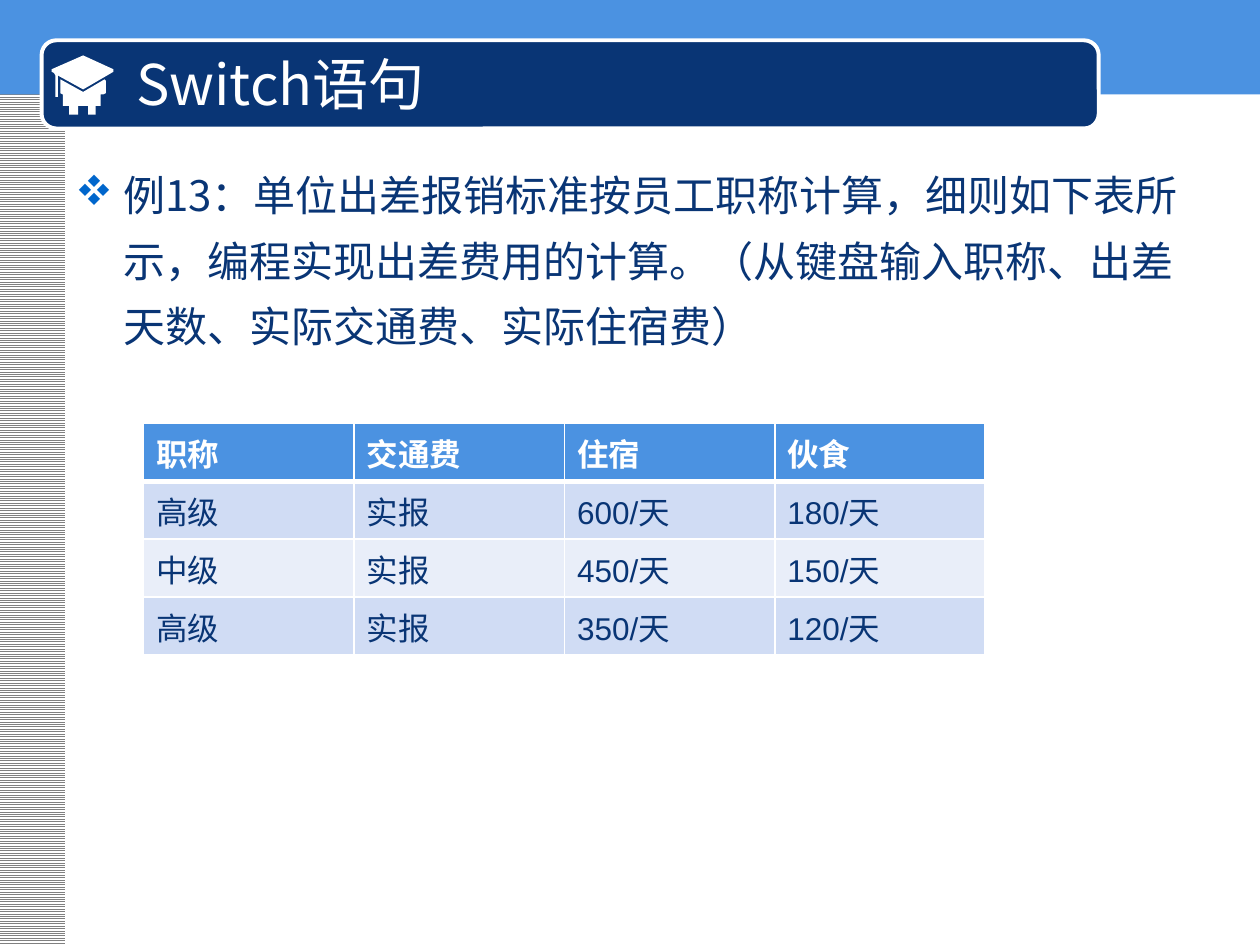
from lxml.etree import SubElement
from pptx import Presentation
from pptx.dml.color import RGBColor
from pptx.enum.dml import MSO_PATTERN
from pptx.enum.shapes import MSO_SHAPE
from pptx.enum.text import MSO_ANCHOR, PP_ALIGN
from pptx.oxml.ns import qn
from pptx.util import Inches, Pt

# Content
TITLE = "Switch语句"
TASK = ("例13：单位出差报销标准按员工职称计算，细则如下表所示，编程实现出差费用的计算。"
        "（从键盘输入职称、出差天数、实际交通费、实际住宿费）")
RATES = [
    ("职称", "交通费", "住宿", "伙食"),
    ("高级", "实报", "600/天", "180/天"),
    ("中级", "实报", "450/天", "150/天"),
    ("高级", "实报", "350/天", "120/天"),
]

# Graduate icon outlines, in hundredths of an inch
CAP = [(41, 57), (43, 58), (44, 60), (44, 77), (46, 77), (46, 60),
       (66, 71), (90, 57), (90, 55), (66, 44), (41, 55)]
BODY = [(80, 75), (82, 75), (84, 74), (84, 64), (83, 63), (66, 73), (48, 63),
        (48, 74), (50, 75), (50, 84), (55, 84), (55, 91), (62, 91), (62, 84),
        (70, 84), (70, 91), (76, 91), (76, 84), (80, 84)]

WHITE = RGBColor(0xFF, 0xFF, 0xFF)
GRAY = RGBColor(0x80, 0x80, 0x80)
BLUE = RGBColor(0x4B, 0x92, 0xE1)
NAVY = RGBColor(0x09, 0x35, 0x75)
BULLET_BLUE = RGBColor(0x00, 0x66, 0xCC)
BAND_DARK = RGBColor(0xD0, 0xDC, 0xF4)
BAND_LIGHT = RGBColor(0xE9, 0xEE, 0xF9)
TEXT_FONT, TABLE_FONT = "Noto Sans CJK SC", "Arial"

COLUMN_WIDTH, ROW_HEIGHT = 1.67, 0.46


def inches(*lengths):
    return [Inches(length) for length in lengths]


def style_text(paragraph, size, color, font, bold=False):
    for run in paragraph.runs:
        run.font.size, run.font.bold, run.font.name = Pt(size), bold, font
        run.font.color.rgb = color
        if font == TEXT_FONT:
            SubElement(run.font._element, qn("a:ea"), typeface=font)


def add_block(kind, *box):
    shape = slide.shapes.add_shape(kind, *inches(*box))
    shape.shadow.inherit = False
    shape.line.fill.background()
    return shape


def add_outline(points):
    builder = slide.shapes.build_freeform(*points[0], scale=Inches(0.01))
    builder.add_line_segments(points[1:], close=True)
    shape = builder.convert_to_shape()
    shape.shadow.inherit = False
    shape.line.fill.background()
    shape.fill.solid()
    shape.fill.fore_color.rgb = WHITE


def set_borders(cell, bottom_width):
    properties = cell._tc.get_or_add_tcPr()
    widths = {"a:lnL": 1, "a:lnR": 1, "a:lnT": 1, "a:lnB": bottom_width}
    for position, (tag, width) in enumerate(widths.items()):
        line = properties.makeelement(qn(tag), {"w": str(Pt(width))})
        fill = SubElement(line, qn("a:solidFill"))
        SubElement(fill, qn("a:srgbClr"), val=str(WHITE))
        properties.insert(position, line)


presentation = Presentation()
presentation.slide_width, presentation.slide_height = inches(10, 7.5)
slide = presentation.slides.add_slide(presentation.slide_layouts[5])

# Striped side, top band and title banner
stripes = add_block(MSO_SHAPE.RECTANGLE, -0.01, 0, 0.53, 7.5)
stripes.fill.patterned()
stripes.fill.pattern = MSO_PATTERN.LIGHT_HORIZONTAL
stripes.fill.fore_color.rgb, stripes.fill.back_color.rgb = GRAY, WHITE

band = add_block(MSO_SHAPE.RECTANGLE, 0, 0, 10, 0.75)
band.fill.solid()
band.fill.fore_color.rgb = BLUE

banner = add_block(MSO_SHAPE.ROUNDED_RECTANGLE, 0.33, 0.32, 8.39, 0.7)
banner.fill.solid()
banner.fill.fore_color.rgb = NAVY
banner.line.color.rgb, banner.line.width = WHITE, Pt(2.25)

for outline in (CAP, BODY):
    add_outline(outline)

# Title, brought in front of the banner
title = slide.shapes.title
title.left, title.top, title.width, title.height = inches(0.98, 0.35, 7.6, 0.62)
title.text_frame.text = TITLE
title.text_frame.vertical_anchor = MSO_ANCHOR.MIDDLE
title.text_frame.paragraphs[0].alignment = PP_ALIGN.LEFT
style_text(title.text_frame.paragraphs[0], 32, WHITE, TEXT_FONT)
slide.shapes._spTree.append(title._element)

# Task with a diamond bullet (the letter v in Wingdings)
task = slide.shapes.add_textbox(*inches(0.5, 1.18, 9, 5.74))
task.text_frame.word_wrap = True
task.text_frame.text = TASK
paragraph = task.text_frame.paragraphs[0]
paragraph.line_spacing = 1.3
style_text(paragraph, 24, NAVY, TEXT_FONT)
properties = paragraph._p.get_or_add_pPr()
properties.set("marL", str(Inches(0.38)))
properties.set("indent", str(-Inches(0.38)))
bullet_color = SubElement(properties, qn("a:buClr"))
SubElement(bullet_color, qn("a:srgbClr"), val=str(BULLET_BLUE))
SubElement(properties, qn("a:buFont"), typeface="Wingdings", charset="2")
SubElement(properties, qn("a:buChar"), char="v")

# Rate table
row_count, column_count = len(RATES), len(RATES[0])
table = slide.shapes.add_table(row_count, column_count, *inches(
    1.14, 3.36, column_count * COLUMN_WIDTH, row_count * ROW_HEIGHT)).table
for row, values in enumerate(RATES):
    header = row == 0
    for column, value in enumerate(values):
        cell = table.cell(row, column)
        cell.text_frame.text = value
        style_text(cell.text_frame.paragraphs[0], 18, WHITE if header else NAVY,
                   TABLE_FONT, bold=header)
        cell.fill.solid()
        cell.fill.fore_color.rgb = BLUE if header else BAND_DARK if row % 2 else BAND_LIGHT
        set_borders(cell, 3 if header else 1)

presentation.save("out.pptx")
